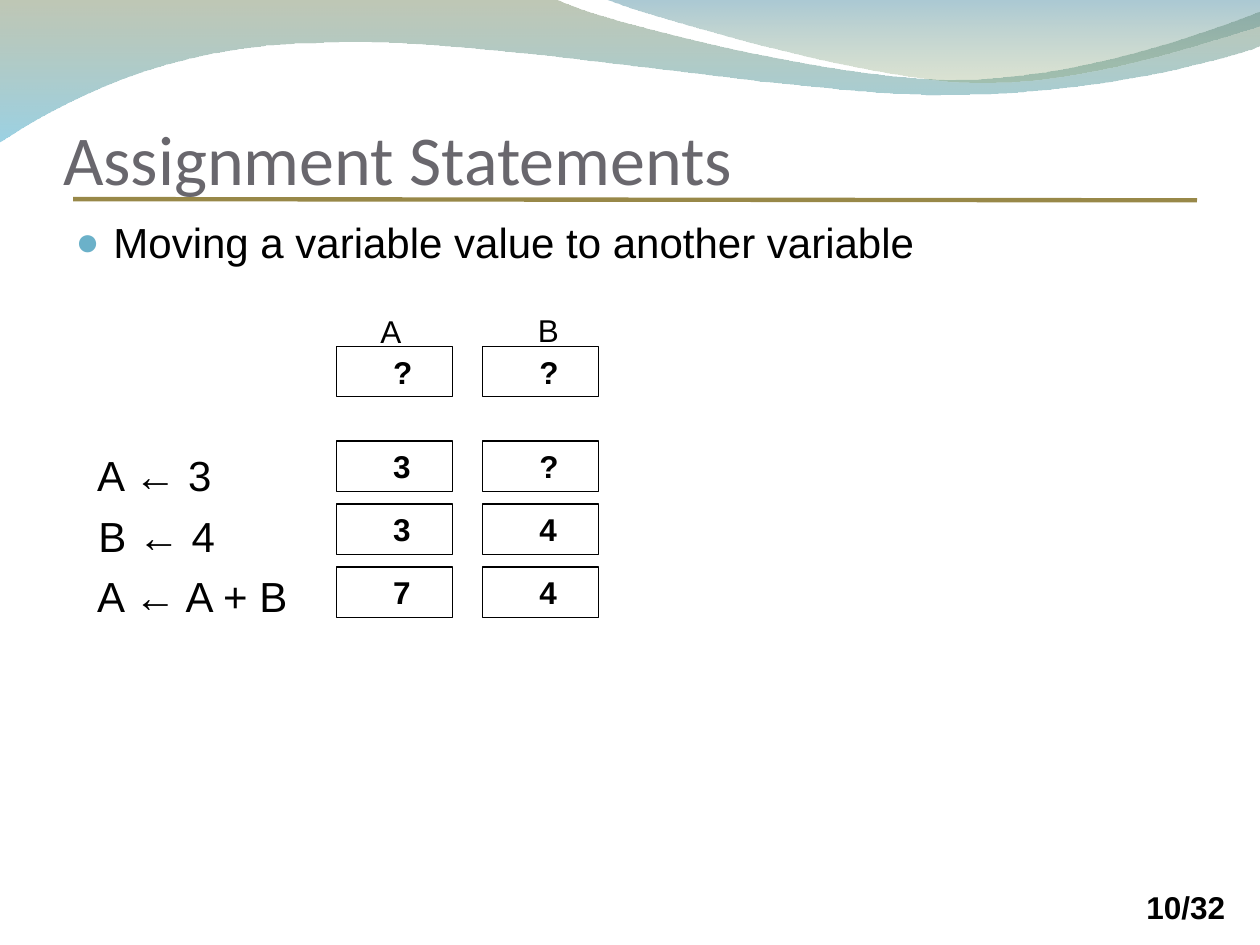
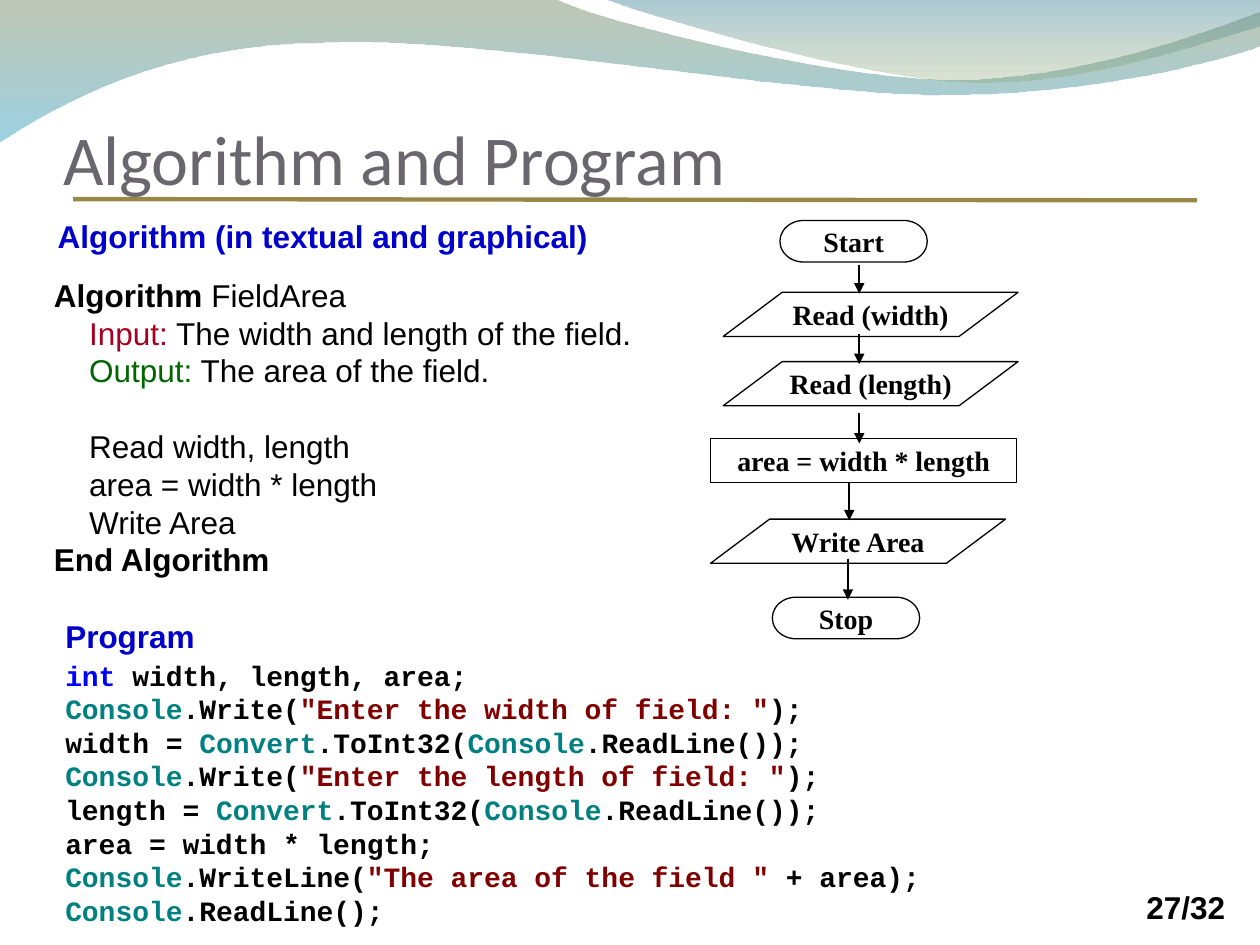
from dataclasses import dataclass
from typing import NamedTuple, Optional

from lxml.etree import SubElement
from pptx import Presentation
from pptx.dml.color import RGBColor
from pptx.enum.shapes import MSO_CONNECTOR, MSO_SHAPE
from pptx.enum.text import MSO_ANCHOR, MSO_AUTO_SIZE, PP_ALIGN
from pptx.oxml.ns import qn
from pptx.util import Inches, Pt

BLACK = RGBColor(0x00, 0x00, 0x00)
TITLE_GRAY = RGBColor(0x69, 0x67, 0x6D)
RULE_GOLD = RGBColor(0x98, 0x88, 0x48)
BULLET_BLUE = RGBColor(0x6B, 0xB1, 0xC9)
HEADING_BLUE = RGBColor(0x00, 0x00, 0xCC)
INPUT_RED = RGBColor(0xA5, 0x00, 0x21)
OUTPUT_GREEN = RGBColor(0x00, 0x66, 0x00)
KEYWORD_BLUE = RGBColor(0x00, 0x00, 0xFF)
CLASS_TEAL = RGBColor(0x00, 0x80, 0x80)
STRING_MAROON = RGBColor(0x80, 0x00, 0x00)
LINE_HEIGHT = 1.2


class Area(NamedTuple):
    left: float
    top: float
    width: float
    height: float

    def lengths(self) -> list:
        return [Inches(value) for value in self]


class Span(NamedTuple):
    text: str
    color: RGBColor = BLACK
    bold: Optional[bool] = None


@dataclass
class Line:
    spans: list
    before: float = 0
    indent: float = 0
    hanging: float = 0
    bullet: str = ""


class Stop(NamedTuple):
    color: RGBColor
    opacity: int


@dataclass
class Wave:
    """A closed outline: two-number steps are straight, six-number steps are curves."""
    start: tuple
    steps: list
    stops: list


@dataclass
class FlowStep:
    text: str
    kind: MSO_SHAPE
    area: Area


class Arrow(NamedTuple):
    x: float
    top: float
    bottom: float


WAVES = [
    Wave((0, -0.01), [
        (4.4, -0.01),
        (4.76, 0.17, 6.64, 0.63, 7.58, 0.63),
        (8.53, 0.63, 9.58, 0.26, 10, 0.09),
        (10.01, 0.36),
        (9.83, 0.44, 8.7, 0.76, 7.46, 0.75),
        (6.22, 0.75, 3.82, 0.28, 2.57, 0.34),
        (1.29, 0.35, 0.46, 0.83, -0.01, 1.13),
    ], [Stop(RGBColor(0x72, 0x84, 0x5C), 45), Stop(RGBColor(0x49, 0xAC, 0xCD), 55)]),
    Wave((4.79, -0.01), [
        (5.09, 0.11, 6.82, 0.62, 7.69, 0.65),
        (8.56, 0.69, 9.61, 0.32, 10, 0.21),
        (10, 0),
    ], [Stop(RGBColor(0x42, 0x86, 0x9E), 45), Stop(RGBColor(0x8A, 0xA2, 0x6C), 30)]),
]

MEMORY_ROWS = [(2.75, "??"), (3.5, "3?"), (4, "34"), (4.5, "74")]
MEMORY_COLUMNS = [2.67, 3.83]

FLOW_STEPS = [
    FlowStep("Start", MSO_SHAPE.FLOWCHART_TERMINATOR, Area(6.19, 1.75, 1.17, 0.33)),
    FlowStep("Read (width)", MSO_SHAPE.FLOWCHART_DATA, Area(5.74, 2.32, 2.34, 0.35)),
    FlowStep("Read (length)", MSO_SHAPE.FLOWCHART_DATA, Area(5.74, 2.87, 2.34, 0.35)),
    FlowStep("area = width * length", MSO_SHAPE.FLOWCHART_PROCESS, Area(5.64, 3.48, 2.43, 0.35)),
    FlowStep("Write Area", MSO_SHAPE.FLOWCHART_DATA, Area(5.64, 4.12, 2.34, 0.35)),
    FlowStep("Stop", MSO_SHAPE.FLOWCHART_TERMINATOR, Area(6.13, 4.74, 1.17, 0.33)),
]
FLOW_ARROWS = [
    Arrow(6.82, 2.1, 2.33), Arrow(6.82, 2.65, 2.89), Arrow(6.82, 3.28, 3.52),
    Arrow(6.74, 3.83, 4.13), Arrow(6.73, 4.44, 4.76),
]

STEP_INDENT = 0.28
ALGORITHM = [
    Line([Span("Algorithm", bold=True), Span(" FieldArea")]),
    Line([Span("Input:", INPUT_RED), Span(" The width and length of the field.")],
         indent=STEP_INDENT),
    Line([Span("Output:", OUTPUT_GREEN), Span(" The area of the field.")], indent=STEP_INDENT),
    Line([Span("Read width, length")], before=21.6, indent=STEP_INDENT),
    Line([Span("area = width * length")], indent=STEP_INDENT),
    Line([Span("Write Area")], indent=STEP_INDENT),
    Line([Span("End Algorithm", bold=True)]),
]

CONSOLE = Span("Console", CLASS_TEAL)
CONVERT = Span("Convert", CLASS_TEAL)


def prompt_line(prompt: str) -> Line:
    return Line([CONSOLE, Span(".Write("), Span(prompt, STRING_MAROON), Span(");")])


def read_line(variable: str) -> Line:
    return Line([Span(f"{variable} = "), CONVERT, Span(".ToInt32("), CONSOLE,
                 Span(".ReadLine());")])


PROGRAM = [
    Line([Span("int", KEYWORD_BLUE), Span(" width, length, area;")]),
    prompt_line('"Enter the width of field: "'),
    read_line("width"),
    prompt_line('"Enter the length of field: "'),
    read_line("length"),
    Line([Span("area = width * length;")]),
    Line([CONSOLE, Span(".WriteLine("), Span('"The area of the field "', STRING_MAROON),
          Span(" + area);")]),
    Line([CONSOLE, Span(".ReadLine();")]),
]


def format_indent(para, line: Line) -> None:
    properties = para._p.get_or_add_pPr()
    properties.set("marL", str(Inches(line.indent)))
    properties.set("indent", str(-Inches(line.hanging)))
    if not line.bullet:
        SubElement(properties, qn("a:buNone"))
        return
    color = SubElement(properties, qn("a:buClr"))
    SubElement(color, qn("a:srgbClr"), val=str(BULLET_BLUE))
    SubElement(properties, qn("a:buSzPct"), val="95000")
    SubElement(properties, qn("a:buChar"), char=line.bullet)


def write_text(shape, lines: list, *, size: float = 18, font: str = "Arial",
               bold: bool = False, align=PP_ALIGN.LEFT, anchor=MSO_ANCHOR.TOP,
               margins: tuple = (0.1, 0.05, 0.1, 0.05), wrap: bool = True) -> None:
    frame = shape.text_frame
    frame.auto_size = MSO_AUTO_SIZE.NONE
    frame.word_wrap = wrap
    frame.vertical_anchor = anchor
    (frame.margin_left, frame.margin_top,
     frame.margin_right, frame.margin_bottom) = [Inches(margin) for margin in margins]
    for index, line in enumerate(lines):
        para = frame.add_paragraph() if index else frame.paragraphs[0]
        para.alignment = align
        para.line_spacing = Pt(size * LINE_HEIGHT)
        para.space_before = Pt(line.before)
        para.space_after = Pt(0)
        format_indent(para, line)
        for span in line.spans:
            run = para.add_run()
            run.text = span.text
            run.font.name = font
            run.font.size = Pt(size)
            run.font.bold = bold if span.bold is None else span.bold
            run.font.color.rgb = span.color


def place(shape, area: Area) -> None:
    shape.left, shape.top, shape.width, shape.height = area.lengths()


def add_label(page, area: Area, lines: list, **text_format) -> None:
    write_text(page.shapes.add_textbox(*area.lengths()), lines, **text_format)


def add_outlined(page, kind: MSO_SHAPE, area: Area, text: str, **text_format) -> None:
    shape = page.shapes.add_shape(kind, *area.lengths())
    shape.shadow.inherit = False
    shape.fill.background()
    shape.line.color.rgb = BLACK
    shape.line.width = Pt(0.75)
    write_text(shape, [Line([Span(text)])], bold=True, **text_format)


def add_line(page, start: tuple, end: tuple, color: RGBColor, width: float,
             arrow: bool = False):
    ends = [Inches(value) for value in (*start, *end)]
    line = page.shapes.add_connector(MSO_CONNECTOR.STRAIGHT, *ends)
    line.line.color.rgb = color
    line.line.width = Pt(width)
    properties = line.element.spPr
    if arrow:
        SubElement(properties.find(qn("a:ln")), qn("a:tailEnd"), type="triangle")
    SubElement(properties, qn("a:effectLst"))
    return line


def bend_segments(shape, steps: list) -> None:
    """Turn the straight segments of six-number steps into cubic curves."""
    for segment, step in zip(list(shape.element.iter(qn("a:lnTo"))), steps):
        if len(step) == 2:
            continue
        segment.tag = qn("a:cubicBezTo")
        for point in list(segment):
            segment.remove(point)
        for x, y in zip(step[::2], step[1::2]):
            SubElement(segment, qn("a:pt"), x=str(Inches(x) - shape.left),
                       y=str(Inches(y) - shape.top))


def add_wave(page, wave: Wave):
    corners = [(Inches(x), Inches(y))
               for x, y in [wave.start] + [step[-2:] for step in wave.steps]]
    builder = page.shapes.build_freeform(*corners[0])
    builder.add_line_segments(corners[1:], close=True)
    shape = builder.convert_to_shape()
    bend_segments(shape, wave.steps)
    shape.shadow.inherit = False
    shape.line.fill.background()
    shape.fill.gradient()
    shape.fill.gradient_angle = 270
    for gradient_stop, stop in zip(shape.fill.gradient_stops, wave.stops):
        gradient_stop.color.rgb = stop.color
    for color, stop in zip(shape.element.iter(qn("a:srgbClr")), wave.stops):
        SubElement(color, qn("a:alpha"), val=str(stop.opacity * 1000))
    return shape


def decorate_master(deck, page) -> None:
    """Draw the waves and the title rule on a page, then move them to the master."""
    decorations = [add_wave(page, wave) for wave in WAVES]
    decorations.append(add_line(page, (0.58, 1.58), (9.5, 1.59), RULE_GOLD, 2.5))
    tree = deck.slide_master.shapes.element
    for index, shape in enumerate(decorations):
        next(shape.element.iter(qn("p:cNvPr"))).set("id", str(100 + index))
        tree.insert(2 + index, shape.element)


def add_page(deck, layout_index: int, title: str, number: str):
    page = deck.slides.add_slide(deck.slide_layouts[layout_index])
    add_label(page, Area(9, 7, 0.92, 0.4), [Line([Span(number)])], bold=True)
    place(page.shapes.title, Area(0.5, 0.33, 9, 1.25))
    write_text(page.shapes.title, [Line([Span(title, TITLE_GRAY)])], size=40, font="Calibri",
               anchor=MSO_ANCHOR.BOTTOM, margins=(0, 0.05, 0, 0))
    return page


def build_assignment_page(deck):
    page = add_page(deck, 1, "Assignment Statements", "10/32")
    body = page.placeholders[1]
    place(body, Area(0.5, 1.67, 9, 5.33))
    write_text(body, [
        Line([Span("Moving a variable value to another variable")],
             indent=0.3, hanging=0.3, bullet="●"),
        Line([Span("A ← 3")], before=104, indent=0.17),
        Line([Span("B ← 4")], before=6, indent=0.18),
        Line([Span("A ← A + B")], before=6, indent=0.17),
    ], size=24)
    for top, values in MEMORY_ROWS:
        for left, value in zip(MEMORY_COLUMNS, values):
            add_outlined(page, MSO_SHAPE.RECTANGLE, Area(left, top, 0.92, 0.4), value,
                         margins=(0.45, 0.05, 0.1, 0.05))
    add_label(page, Area(2.92, 2.43, 0.5, 0.4), [Line([Span("A")])])
    add_label(page, Area(4.17, 2.42, 0.5, 0.4), [Line([Span("B")])])
    return page


def build_algorithm_page(deck) -> None:
    page = add_page(deck, 5, "Algorithm and Program", "27/32")
    for step in FLOW_STEPS:
        add_outlined(page, step.kind, step.area, step.text, size=16, font="Times New Roman",
                     align=PP_ALIGN.CENTER, anchor=MSO_ANCHOR.MIDDLE, wrap=False)
    for arrow in FLOW_ARROWS:
        add_line(page, (arrow.x, arrow.top), (arrow.x, arrow.bottom), BLACK, 1, arrow=True)
    add_label(page, Area(0.42, 5.17, 7.33, 2.24), PROGRAM, size=16, font="Courier New",
              bold=True, anchor=MSO_ANCHOR.MIDDLE)
    add_label(page, Area(0.33, 2.14, 5, 2.5), ALGORITHM)
    add_label(page, Area(0.36, 1.67, 4.41, 0.4),
              [Line([Span("Algorithm (in textual and graphical)", HEADING_BLUE)])], bold=True)
    add_label(page, Area(0.42, 4.85, 1.23, 0.4),
              [Line([Span("Program", HEADING_BLUE)])], bold=True)


def main() -> None:
    deck = Presentation()
    deck.slide_width, deck.slide_height = Inches(10), Inches(7.5)
    decorate_master(deck, build_assignment_page(deck))
    build_algorithm_page(deck)
    deck.save("out.pptx")


if __name__ == "__main__":
    main()
